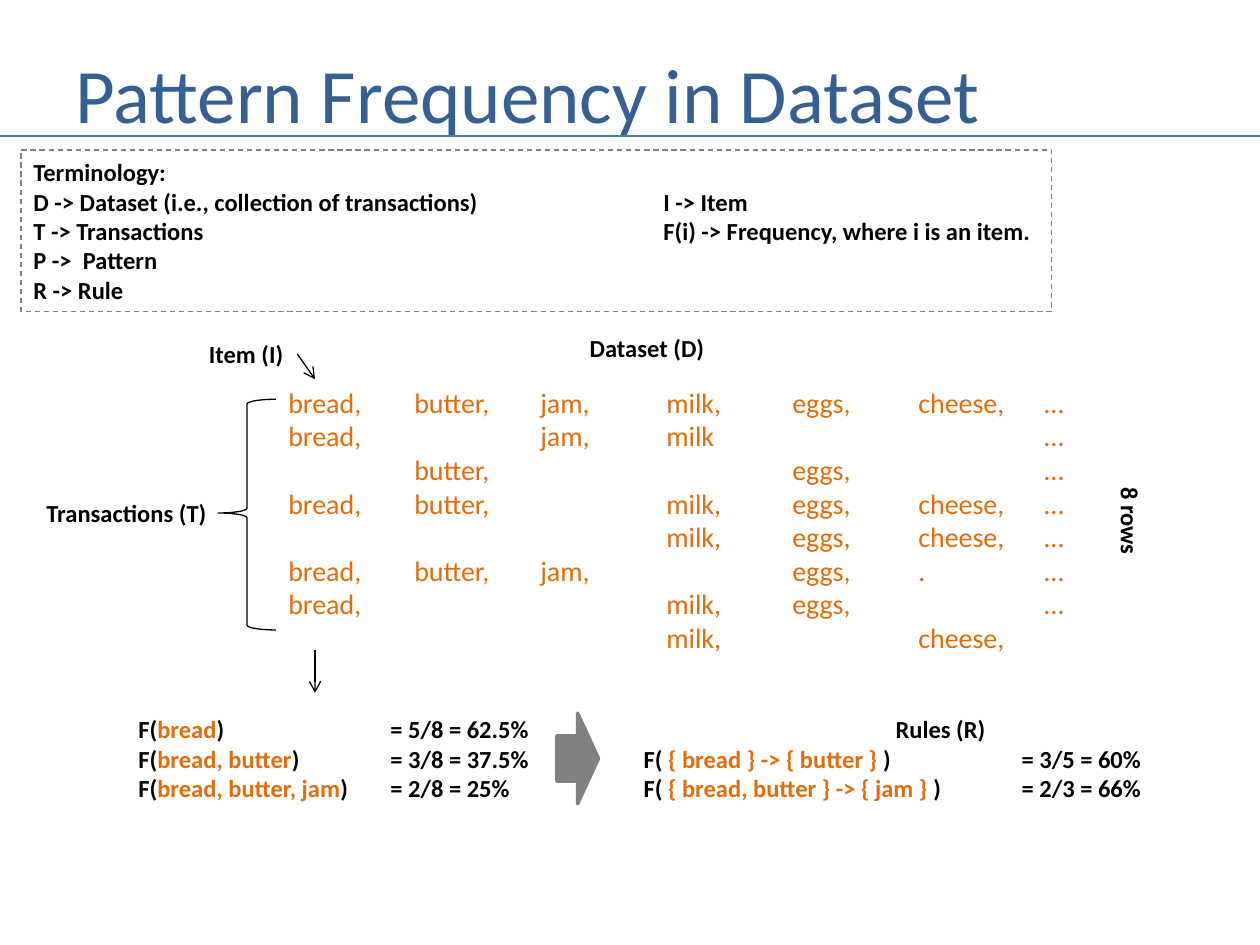
from dataclasses import dataclass

from lxml import etree
from pptx import Presentation
from pptx import util as u
from pptx.dml.color import RGBColor
from pptx.enum import dml, shapes, text
from pptx.oxml.ns import qn

Pt = u.Pt


@dataclass(frozen=True)
class Theme:
    font: str = "Calibri"
    title: str = "376092"
    rule: str = "4B7EBC"
    ink: str = "000000"
    item: str = "E46C0A"
    grey: str = "808080"
    title_size: int = 44
    data_size: int = 16
    label_size: int = 14
    tab_gap: int = 72


THEME = Theme()


def box_lengths(left, top, width, height):
    return Pt(left), Pt(top), Pt(width), Pt(height)


def set_format(target, **values):
    for name, value in values.items():
        setattr(target, name, value)


def set_tabs(paragraph, count):
    """Even tab stops, one for each column."""
    tab_list = etree.SubElement(paragraph._p.get_or_add_pPr(), qn("a:tabLst"))
    for number in range(1, count + 1):
        etree.SubElement(tab_list, qn("a:tab"), pos=str(Pt(THEME.tab_gap * number)), algn="l")


def write(frame, lines, size=THEME.label_size, colors=(THEME.ink, THEME.item), bold=True):
    """One paragraph a line; a bar switches between the two colours."""
    set_format(frame, word_wrap=False, auto_size=text.MSO_AUTO_SIZE.NONE)
    for index, line in enumerate(lines):
        paragraph = frame.paragraphs[0] if index == 0 else frame.add_paragraph()
        paragraph.alignment = text.PP_ALIGN.LEFT
        if "\t" in line:
            set_tabs(paragraph, 7)
        for part, words in enumerate(line.split("|")):
            if words:
                run = paragraph.add_run()
                run.text = words
                set_format(run.font, name=THEME.font, size=Pt(size), bold=bold)
                run.font.color.rgb = RGBColor.from_string(colors[part % 2])


def add_text(slide, box, lines, **style):
    shape = slide.shapes.add_textbox(*box_lengths(*box))
    write(shape.text_frame, lines, **style)
    return shape


def add_shape(slide, kind, box, line, width=0.75, fill=None):
    shape = slide.shapes.add_shape(kind, *box_lengths(*box))
    shape.shadow.inherit = False
    if fill:
        shape.fill.solid()
        shape.fill.fore_color.rgb = RGBColor.from_string(fill)
    else:
        shape.fill.background()
    shape.line.color.rgb = RGBColor.from_string(line)
    shape.line.width = Pt(width)
    return shape


def add_line(slide, start, end, color=THEME.ink, width=0.75, arrow=False):
    line = slide.shapes.add_connector(
        shapes.MSO_CONNECTOR.STRAIGHT, *map(Pt, (*start, *end)))
    line.line.color.rgb = RGBColor.from_string(color)
    line.line.width = Pt(width)
    if arrow:
        etree.SubElement(line.line._get_or_add_ln(), qn("a:tailEnd"), type="arrow")
    etree.SubElement(line._element.spPr, qn("a:effectLst"))


def title_region(slide, left, top, width, height):
    title = slide.shapes.title
    names = ("left", "top", "width", "height")
    set_format(title, **dict(zip(names, box_lengths(left, top, width, height))))
    write(title.text_frame, ["Pattern Frequency in Dataset"],
          size=THEME.title_size, colors=(THEME.title,), bold=False)
    set_format(title.text_frame, word_wrap=True, vertical_anchor=text.MSO_ANCHOR.MIDDLE)
    rule_y = top + 56.2
    add_line(slide, (0, rule_y), (720, rule_y), THEME.rule, 1.5)


def terminology_region(slide, *box):
    panel = add_shape(slide, shapes.MSO_SHAPE.RECTANGLE, box, THEME.grey)
    panel.line.dash_style = dml.MSO_LINE.DASH
    write(panel.text_frame, [
        "Terminology:",
        "D -> Dataset (i.e., collection of transactions)\t\tI -> Item",
        "T -> Transactions\t\t\t\tF(i) -> Frequency, where i is an item.",
        "P ->  Pattern",
        "R -> Rule",
    ])


def dataset_region(slide, left, top, width, height):
    # Transactions, one column for each item
    add_text(slide, (left, top, width, height), [
        "bread,\tbutter,\tjam,\tmilk,\teggs,\tcheese,\t…",
        "bread,\t\tjam,\tmilk\t\t\t…",
        "\tbutter,\t\t\teggs,\t\t…",
        "bread,\tbutter,\t\tmilk,\teggs,\tcheese,\t…",
        "\t\t\tmilk,\teggs,\tcheese,\t…",
        "bread,\tbutter,\tjam,\t\teggs,\t.\t…",
        "bread,\t\t\tmilk,\teggs,\t\t…",
        "\t\t\tmilk,\t\tcheese,",
    ], size=THEME.data_size, colors=(THEME.item,), bold=False)

    # Brace around the rows
    brace = add_shape(slide, shapes.MSO_SHAPE.LEFT_BRACE,
                      (left - 33.1, top + 11.5, 33.1, 131.8), THEME.ink)
    brace.adjustments[0] = 0.083
    brace.adjustments[1] = 0.493

    # Labels on each side
    for caption, x, y, label_width, rotation in (
        ("Transactions (T)", -138.3, 64.1, 106.6, 0),
        ("Dataset (D)", 172.1, -30.2, 80.6, 0),
        ("Item (I)", -45.4, -26.6, 57.6, 0),
        ("8 rows", width, 69.1, 53.3, 90),
    ):
        label = add_text(slide, (left + x, top + y, label_width, 24.2), [caption])
        label.rotation = rotation

    # Arrows to the first item and to the frequencies
    arrow_x = left + 22.3
    add_line(slide, (left + 12.2, top - 14.4), (arrow_x, top), arrow=True)
    add_line(slide, (arrow_x, top + 154.8), (arrow_x, top + 179.3), arrow=True)


def results_region(slide, left, top, width, height):
    add_text(slide, (left, top, 239.8, height), [
        "F(|bread|) \t\t= 5/8 = 62.5%",
        "F(|bread, butter|) \t= 3/8 = 37.5%",
        "F(|bread, butter, jam|) \t= 2/8 = 25%",
    ])
    add_shape(slide, shapes.MSO_SHAPE.RIGHT_ARROW,
              (left + 246.2, top + 2.9, 23.8, 51.8), THEME.grey, 2, THEME.grey)
    rules_left = 288.7
    add_text(slide, (left + rules_left, top, width - rules_left, height), [
        "\t\tRules (R)",
        "F( |{ bread } -> { butter } |) \t= 3/5 = 60%",
        "F( |{ bread, butter } -> { jam } |) \t= 2/3 = 66%",
    ])


presentation = Presentation()
set_format(presentation, slide_width=Pt(720), slide_height=Pt(540))
slide = presentation.slides.add_slide(presentation.slide_layouts.get_by_name("Title Only"))

title_region(slide, 36, 21.6, 653.8, 62.6)
terminology_region(slide, 12, 85.7, 589, 92.2)
dataset_region(slide, 157.7, 216.7, 461.5, 162.7)
results_region(slide, 72, 404.6, 596.2, 58.3)

presentation.save("out.pptx")
